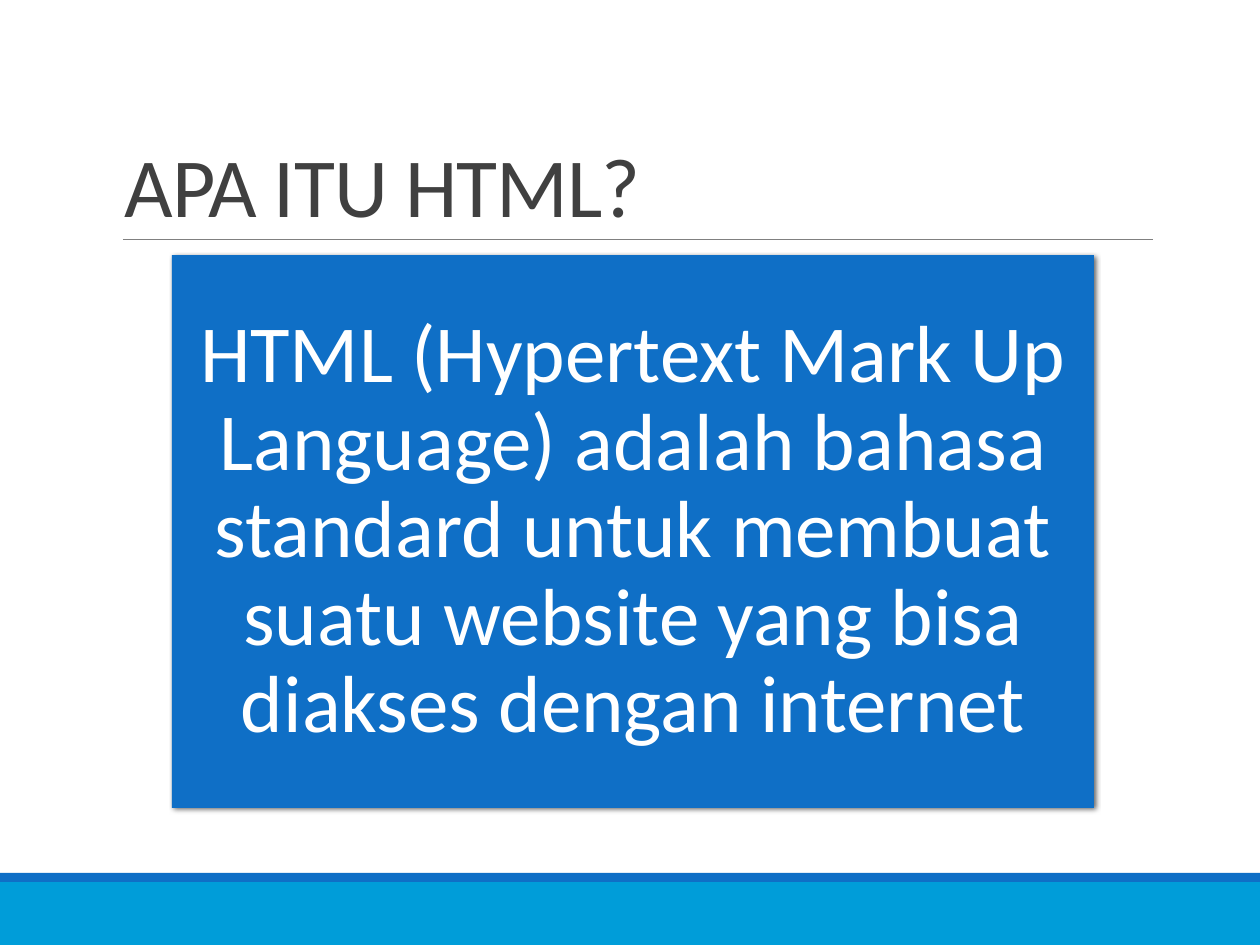
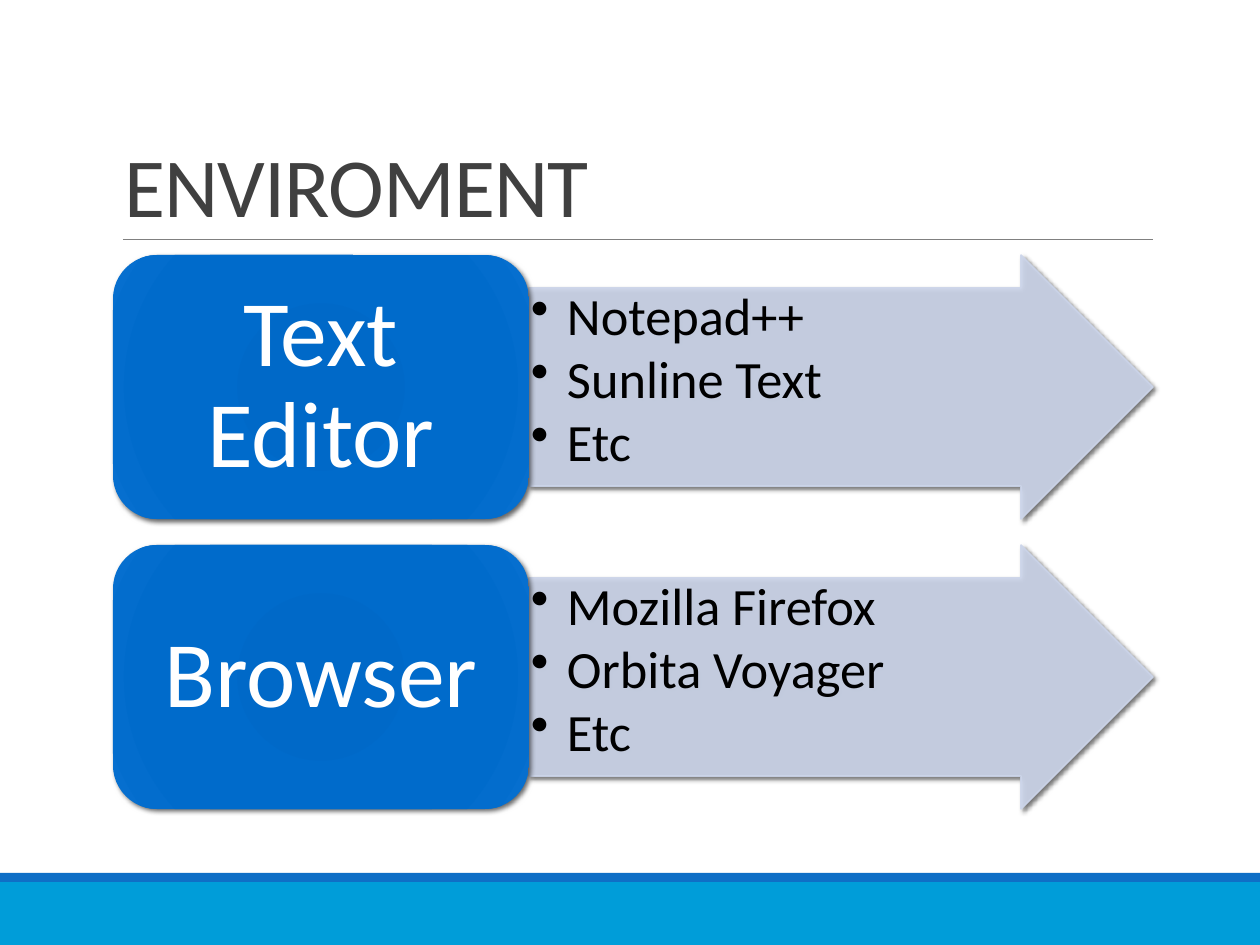
"""Builds two slides introducing HTML and the tools needed to write it."""
from lxml.etree import SubElement
from pptx import Presentation
from pptx.dml.color import RGBColor
from pptx.enum.shapes import MSO_CONNECTOR as Connector, MSO_SHAPE as Preset
from pptx.enum.text import MSO_ANCHOR as Anchor, MSO_AUTO_SIZE as AutoSize, PP_ALIGN as Align
from pptx.oxml import parse_xml
from pptx.oxml.ns import nsdecls, qn
from pptx.util import Pt

EMU_PER_PX = 8000
SLIDE_W, SLIDE_H = 1260, 945
FONT = "Calibri"

WHITE = RGBColor(0xFF, 0xFF, 0xFF)
BLACK = RGBColor(0x00, 0x00, 0x00)
TITLE_GREY = RGBColor(0x40, 0x40, 0x40)
RULE_GREY = RGBColor(0x80, 0x80, 0x80)
BLUE = RGBColor(0x0F, 0x6F, 0xC6)
CYAN = RGBColor(0x00, 0x9D, 0xD9)
PALE_BLUE = RGBColor(0xCC, 0xD5, 0xEA)
GLOW_STOPS = (
    (0, RGBColor(0x00, 0x68, 0xC6)),
    (34, RGBColor(0x00, 0x69, 0xC8)),
    (70, RGBColor(0x00, 0x6B, 0xCB)),
    (100, RGBColor(0x06, 0x6F, 0xCF)),
)

CONTENT_TOP = 255
ROW_H, ROW_PITCH = 264, 290
CATEGORY_X, CATEGORY_W = 113, 416
ARROW_W = 624
LIST_INDENT = 36

DEFINITION = (
    "HTML (Hypertext Mark Up Language) adalah bahasa standard untuk membuat "
    "suatu website yang bisa diakses dengan internet"
)
TOOLS = (
    ("Text Editor", ("Notepad++", "Sunline Text", "Etc")),
    ("Browser", ("Mozilla Firefox", "Orbita Voyager", "Etc")),
)


def px(*lengths):
    """Turn pixel lengths into a list of EMU values."""
    return [length * EMU_PER_PX for length in lengths]


def add_block(slide, preset, box, color):
    """Add a flat, borderless preset shape."""
    block = slide.shapes.add_shape(preset, *px(*box))
    block.shadow.inherit = False
    block.fill.solid()
    block.fill.fore_color.rgb = color
    block.line.fill.background()
    return block


def add_rule(slide, left, right, y):
    """Add the thin grey line below the title."""
    rule = slide.shapes.add_connector(Connector.STRAIGHT, *px(left, y, right, y))
    rule.line.color.rgb = RULE_GREY
    rule.line.width = Pt(0.5)
    SubElement(rule.element.spPr, qn("a:effectLst"))
    return rule


def cast_shadow(block):
    """Give a block the soft shadow to its lower right."""
    block.element.spPr.find(qn("a:effectLst")).append(parse_xml(
        f'<a:outerShdw {nsdecls("a")} blurRad="{Pt(3)}" dist="{Pt(2)}" dir="2700000" '
        f'algn="ctr" rotWithShape="0"><a:srgbClr val="{BLACK}">'
        '<a:alpha val="60000"/></a:srgbClr></a:outerShdw>'))


def glow(block):
    """Replace a block's solid fill by the round blue gradient."""
    stops = "".join(
        f'<a:gs pos="{percent * 1000}"><a:srgbClr val="{color}"/></a:gs>'
        for percent, color in GLOW_STOPS)
    properties = block.element.spPr
    properties.replace(properties.find(qn("a:solidFill")), parse_xml(
        f'<a:gradFill {nsdecls("a")} rotWithShape="1"><a:gsLst>{stops}</a:gsLst>'
        '<a:path path="circle"><a:fillToRect l="100000" t="100000" r="100000" b="100000"/>'
        '</a:path></a:gradFill>'))


def set_frame(block, anchor, inset_x, inset_y):
    """Prepare a block's text frame and return it."""
    frame = block.text_frame
    frame.word_wrap = True
    frame.vertical_anchor = anchor
    frame.margin_left, frame.margin_right = px(inset_x, inset_x)
    frame.margin_top, frame.margin_bottom = px(inset_y, inset_y)
    return frame


def write(paragraph, text, size, color, align):
    """Add one formatted run to a paragraph."""
    paragraph.alignment = align
    paragraph.line_spacing = 0.9
    run = paragraph.add_run()
    run.text = text
    run.font.name = FONT
    run.font.size = Pt(size)
    run.font.color.rgb = color


def add_bullet(paragraph):
    """Give a paragraph a round bullet with a hanging indent."""
    indent, = px(LIST_INDENT)
    properties = paragraph._p.get_or_add_pPr()
    properties.set("marL", str(indent))
    properties.set("indent", str(-indent))
    SubElement(properties, qn("a:buChar"), char="•")


def add_definition(slide):
    """Add the large blue panel that holds the definition."""
    panel = add_block(slide, Preset.RECTANGLE, (172, CONTENT_TOP, 922, 553), BLUE)
    cast_shadow(panel)
    frame = set_frame(panel, Anchor.MIDDLE, 24, 24)
    write(frame.paragraphs[0], DEFINITION, 51, WHITE, Align.CENTER)


def add_examples(slide, top, examples):
    """Add the pale arrow that lists the examples of one category."""
    box = (CATEGORY_X + CATEGORY_W, top, ARROW_W, ROW_H)
    arrow = add_block(slide, Preset.RIGHT_ARROW, box, PALE_BLUE)
    arrow.adjustments[0], arrow.adjustments[1] = 0.75, 0.5
    arrow.line.color.rgb = PALE_BLUE
    arrow.line.width = Pt(1)
    for color in arrow.element.spPr.iter(qn("a:srgbClr")):
        SubElement(color, qn("a:alpha"), val="90000")
    cast_shadow(arrow)
    frame = set_frame(arrow, Anchor.TOP, 2, 2)
    for index, example in enumerate(examples):
        paragraph = frame.add_paragraph() if index else frame.paragraphs[0]
        add_bullet(paragraph)
        paragraph.space_after = Pt(4)
        write(paragraph, example, 33, BLACK, Align.LEFT)


def add_category(slide, top, name):
    """Add the rounded blue box that names one category."""
    box = (CATEGORY_X, top, CATEGORY_W, ROW_H)
    category = add_block(slide, Preset.ROUNDED_RECTANGLE, box, BLUE)
    glow(category)
    cast_shadow(category)
    frame = set_frame(category, Anchor.MIDDLE, 29, 14)
    write(frame.paragraphs[0], name, 59, WHITE, Align.CENTER)


def style_layout(layout):
    """Set the shared title style and drop the unused footer fields."""
    for field in list(layout.placeholders)[1:]:
        field.element.getparent().remove(field.element)
    title = layout.placeholders[0]
    title.left, title.top, title.width, title.height = px(113, 40, 1040, 200)
    title.text_frame.vertical_anchor = Anchor.BOTTOM
    title.text_frame.auto_size = AutoSize.NONE
    title.element.txBody.find(qn("a:lstStyle")).append(parse_xml(
        f'<a:lvl1pPr {nsdecls("a")} algn="l"><a:lnSpc><a:spcPct val="85000"/></a:lnSpc>'
        f'<a:defRPr sz="5290" spc="-60"><a:solidFill><a:srgbClr val="{TITLE_GREY}"/></a:solidFill>'
        f'<a:latin typeface="{FONT}"/></a:defRPr></a:lvl1pPr>'))


def share_bands(layout, slide):
    """Draw the bands and the title rule, then hand them to the layout."""
    shared = (
        add_block(slide, Preset.RECTANGLE, (0, 882, SLIDE_W, 63), CYAN),
        add_block(slide, Preset.RECTANGLE, (0, 873, SLIDE_W, 9), BLUE),
        add_rule(slide, 123, 1153, 239),
    )
    for part in shared:
        layout.shapes.element.append(part.element)


def add_titled_slide(deck, layout, title):
    """Add a slide and write its title."""
    slide = deck.slides.add_slide(layout)
    slide.shapes.title.text_frame.paragraphs[0].add_run().text = title
    return slide


def main():
    """Build and save the deck."""
    deck = Presentation()
    deck.slide_width, deck.slide_height = px(SLIDE_W, SLIDE_H)
    layout = deck.slide_layouts.get_by_name("Title Only")
    style_layout(layout)

    definition = add_titled_slide(deck, layout, "APA ITU HTML?")
    share_bands(layout, definition)
    add_definition(definition)

    environment = add_titled_slide(deck, layout, "ENVIROMENT")
    for row, (category, examples) in enumerate(TOOLS):
        top = CONTENT_TOP + row * ROW_PITCH
        add_examples(environment, top, examples)
        add_category(environment, top, category)

    deck.save("out.pptx")


if __name__ == "__main__":
    main()
